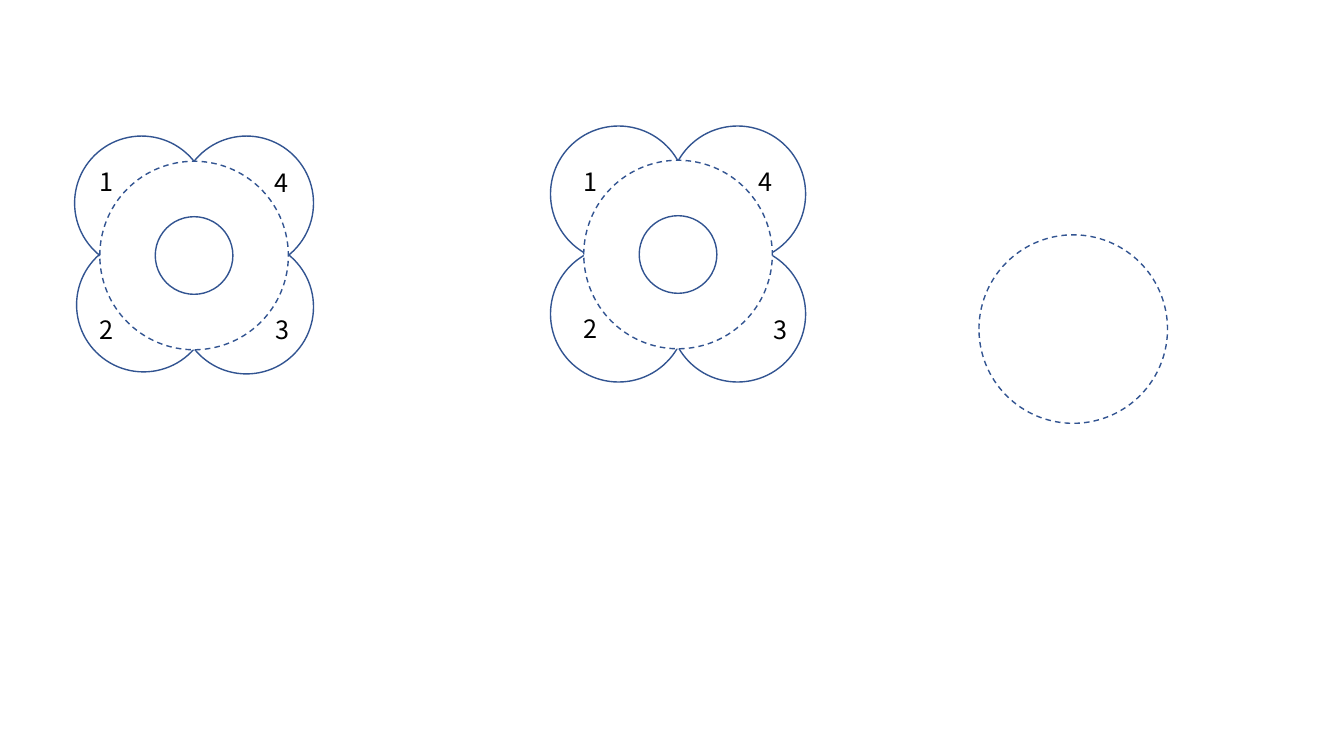
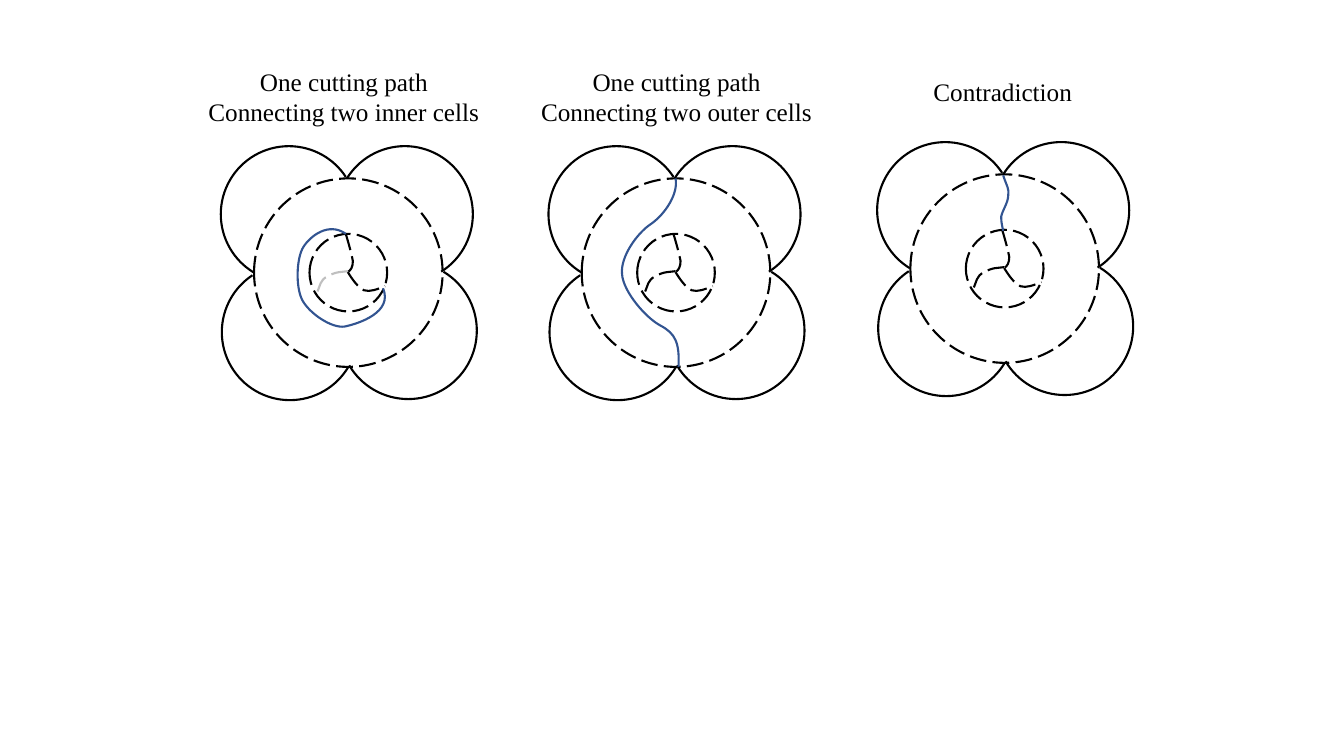
from dataclasses import dataclass
from typing import NamedTuple

from lxml.etree import SubElement
from pptx import Presentation
from pptx.dml.color import RGBColor
from pptx.enum.dml import MSO_LINE
from pptx.enum.shapes import MSO_SHAPE
from pptx.enum.text import MSO_AUTO_SIZE, PP_ALIGN
from pptx.oxml.ns import qn
from pptx.shapes.autoshape import Shape
from pptx.shapes.shapetree import GroupShapes, SlideShapes
from pptx.slide import Slide
from pptx.util import Emu, Pt

EMU_PER_PX = 9144
RING = 187
CORE = 77
CORE_OFFSET = (RING - CORE) // 2
ARC_UNITS_PER_DEGREE = 0.6


@dataclass(frozen=True)
class Theme:
    ink: RGBColor = RGBColor(0x00, 0x00, 0x00)
    blue: RGBColor = RGBColor(0x32, 0x54, 0x91)
    faded: RGBColor = RGBColor(0xBF, 0xBF, 0xBF)
    paper: RGBColor = RGBColor(0xFF, 0xFF, 0xFF)
    label_font: str = "Noto Sans CJK SC"
    caption_font: str = "Times New Roman"
    text_size: int = 18
    thin: float = 1
    thick: float = 1.5


THEME = Theme()


class Point(NamedTuple):
    x: int
    y: int

    def shift(self, origin: "Point") -> "Point":
        return Point(self.x + origin.x, self.y + origin.y)


class Stroke(NamedTuple):
    color: RGBColor
    width: float
    dash: MSO_LINE | None = None


class ArcPetal(NamedTuple):
    offset: Point
    size: int
    start: float
    end: float


class NumberedFlower(NamedTuple):
    origin: Point
    petal_size: int
    petals: list[Point]
    labels: list[Point]


class Caption(NamedTuple):
    at: Point
    width: int
    height: int
    lines: list[str]


Curve = list[tuple[int, int]]

BLUE_THIN = Stroke(THEME.blue, THEME.thin)
BLUE_DASHED = Stroke(THEME.blue, THEME.thin, MSO_LINE.DASH)
BLUE_THICK = Stroke(THEME.blue, THEME.thick)
INK_THICK = Stroke(THEME.ink, THEME.thick)
INK_DASHED = Stroke(THEME.ink, THEME.thick, MSO_LINE.LONG_DASH)
FADED_DASHED = Stroke(THEME.faded, THEME.thick, MSO_LINE.LONG_DASH)

NUMBERED_FLOWERS = [
    NumberedFlower(
        Point(99, 160), 133,
        [Point(-25, -25), Point(-23, 76), Point(79, 78), Point(79, -25)],
        [Point(-10, 0), Point(-10, 147), Point(164, 147), Point(163, 1)],
    ),
    NumberedFlower(
        Point(579, 159), 135,
        [Point(-33, -34), Point(-33, 85), Point(85, 85), Point(85, -34)],
        [Point(-10, 1), Point(-10, 147), Point(178, 148), Point(163, 1)],
    ),
]
LONE_RING = Point(971, 233)

ARC_PETALS = [
    ArcPetal(Point(82, -32), 135, 211.7, 57.6),
    ArcPetal(Point(-33, -32), 135, 121.3, 326.82),
    ArcPetal(Point(-32, 85), 135, 31.33, 236.65),
    ArcPetal(Point(85, 83), 136, 300.94, 149.46),
]
UPPER_SPOKE: Curve = [(91, 55), (94, 65), (97, 76), (98, 82),
                      (98, 88), (96, 91), (93, 93)]
LEFT_SPOKE: Curve = [(93, 92), (87, 93), (82, 92), (73, 97),
                     (65, 101), (66, 106), (62, 114)]
RIGHT_SPOKE: Curve = [(93, 93), (98, 101), (103, 108), (109, 111),
                      (115, 113), (122, 110), (130, 107)]

CELL_FLOWERS = [
    (Point(252, 177), FADED_DASHED),
    (Point(577, 177), INK_DASHED),
    (Point(903, 173), INK_DASHED),
]
CUTTING_PATHS: list[Curve] = [
    [(343, 232), (326, 220), (308, 234), (301, 245), (294, 256), (293, 285),
     (300, 298), (307, 311), (329, 326), (342, 324), (356, 321), (390, 310),
     (380, 286)],
    [(670, 177), (673, 192), (660, 212), (646, 222), (632, 231), (615, 255),
     (617, 272), (618, 289), (640, 315), (655, 323), (670, 331), (674, 340),
     (673, 364)],
    [(995, 174), (999, 186), (1001, 187), (1000, 194), (1000, 201),
     (994, 209), (993, 215), (993, 221), (994, 224), (995, 229)],
]
CAPTIONS = [
    Caption(Point(195, 61), 292, 71,
            ["One cutting path", "Connecting two inner cells"]),
    Caption(Point(525, 61), 292, 71,
            ["One cutting path", "Connecting two outer cells"]),
    Caption(Point(915, 71), 159, 40, ["Contradiction"]),
]


def px(value: int) -> Emu:
    return Emu(value * EMU_PER_PX)


def style(sp: Shape, stroke: Stroke, fill: RGBColor | None = None) -> None:
    sp.shadow.inherit = False
    if fill is None:
        sp.fill.background()
    else:
        sp.fill.solid()
        sp.fill.fore_color.rgb = fill
    sp.line.color.rgb = stroke.color
    sp.line.width = Pt(stroke.width)
    if stroke.dash is not None:
        sp.line.dash_style = stroke.dash


def add_round(shapes: SlideShapes | GroupShapes, at: Point, size: int,
              stroke: Stroke, fill: RGBColor | None = None,
              kind: MSO_SHAPE = MSO_SHAPE.OVAL) -> Shape:
    sp = shapes.add_shape(kind, px(at.x), px(at.y), px(size), px(size))
    style(sp, stroke, fill)
    return sp


def add_curve(shapes: SlideShapes | GroupShapes, points: Curve,
              stroke: Stroke, origin: Point = Point(0, 0)) -> None:
    start, *rest = [Point(*point).shift(origin) for point in points]
    builder = shapes.build_freeform(start.x, start.y, scale=EMU_PER_PX)
    builder.add_line_segments(rest, close=False)
    sp = builder.convert_to_shape()
    style(sp, stroke)
    outline = next(sp.element.iter(qn("a:path")))
    segments = outline.findall(qn("a:lnTo"))
    for i in range(0, len(segments), 3):
        bezier = SubElement(outline, qn("a:cubicBezTo"))
        for segment in segments[i:i + 3]:
            bezier.append(segment[0])
            outline.remove(segment)


def add_text(shapes: SlideShapes | GroupShapes, at: Point, width: int,
             height: int, lines: list[str], font: str,
             align: PP_ALIGN) -> None:
    tf = shapes.add_textbox(px(at.x), px(at.y), px(width), px(height)).text_frame
    tf.word_wrap = False
    tf.auto_size = MSO_AUTO_SIZE.SHAPE_TO_FIT_TEXT
    tf.text = "\n".join(lines)
    for p in tf.paragraphs:
        p.alignment = align
        p.font.name = font
        p.font.size = Pt(THEME.text_size)
        p.font.color.rgb = THEME.ink


def add_numbered_flower(slide: Slide, flower: NumberedFlower) -> None:
    shapes = slide.shapes.add_group_shape().shapes
    origin = flower.origin
    for petal in flower.petals:
        add_round(shapes, petal.shift(origin), flower.petal_size, BLUE_THIN)
    add_round(shapes, origin, RING, BLUE_DASHED, THEME.paper)
    add_round(shapes, origin.shift(Point(CORE_OFFSET, CORE_OFFSET)), CORE,
              BLUE_THIN)
    for number, label in enumerate(flower.labels, start=1):
        add_text(shapes, label.shift(origin), 34, 40, [str(number)],
                 THEME.label_font, PP_ALIGN.LEFT)


def add_cell_flower(slide: Slide, origin: Point, left_stroke: Stroke) -> None:
    shapes = slide.shapes.add_group_shape().shapes
    add_round(shapes, origin, RING, INK_DASHED)
    add_round(shapes, origin.shift(Point(CORE_OFFSET, CORE_OFFSET)), CORE,
              INK_DASHED)
    for petal in ARC_PETALS:
        sp = add_round(shapes, petal.offset.shift(origin), petal.size,
                       INK_THICK, kind=MSO_SHAPE.ARC)
        for i, angle in enumerate((petal.start, petal.end)):
            sp.adjustments[i] = angle * ARC_UNITS_PER_DEGREE
    add_curve(shapes, UPPER_SPOKE, INK_DASHED, origin)
    add_curve(shapes, LEFT_SPOKE, left_stroke, origin)
    add_curve(shapes, RIGHT_SPOKE, INK_DASHED, origin)


def build_numbered_slide(slide: Slide) -> None:
    for flower in NUMBERED_FLOWERS:
        add_numbered_flower(slide, flower)
    add_round(slide.shapes, LONE_RING, RING, BLUE_DASHED, THEME.paper)


def build_cutting_slide(slide: Slide) -> None:
    for origin, left_stroke in CELL_FLOWERS:
        add_cell_flower(slide, origin, left_stroke)
    for cutting_path in CUTTING_PATHS:
        add_curve(slide.shapes, cutting_path, BLUE_THICK)
    for caption in CAPTIONS:
        add_text(slide.shapes, *caption, THEME.caption_font, PP_ALIGN.CENTER)


def main() -> None:
    prs = Presentation()
    prs.slide_width, prs.slide_height = px(1333), px(750)
    blank = prs.slide_layouts[6]
    for build in (build_numbered_slide, build_cutting_slide):
        build(prs.slides.add_slide(blank))
    prs.save("out.pptx")


if __name__ == "__main__":
    main()
